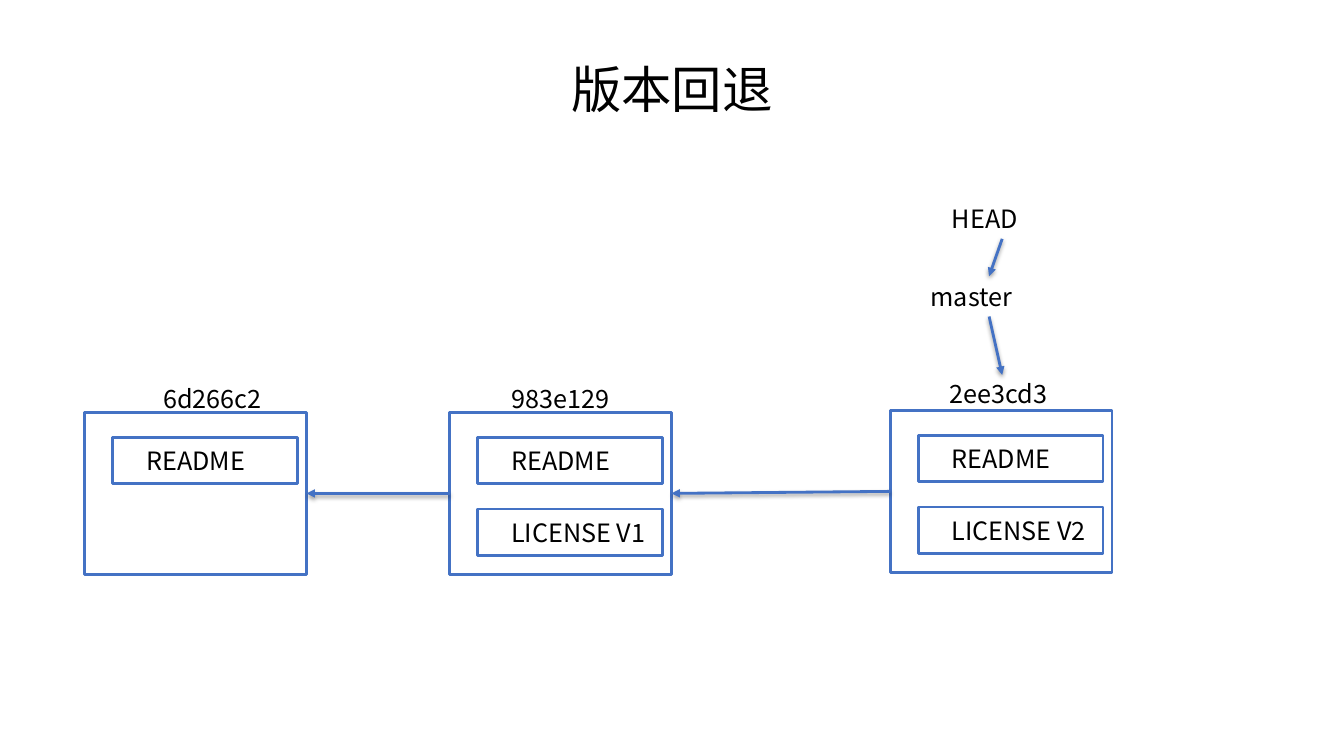
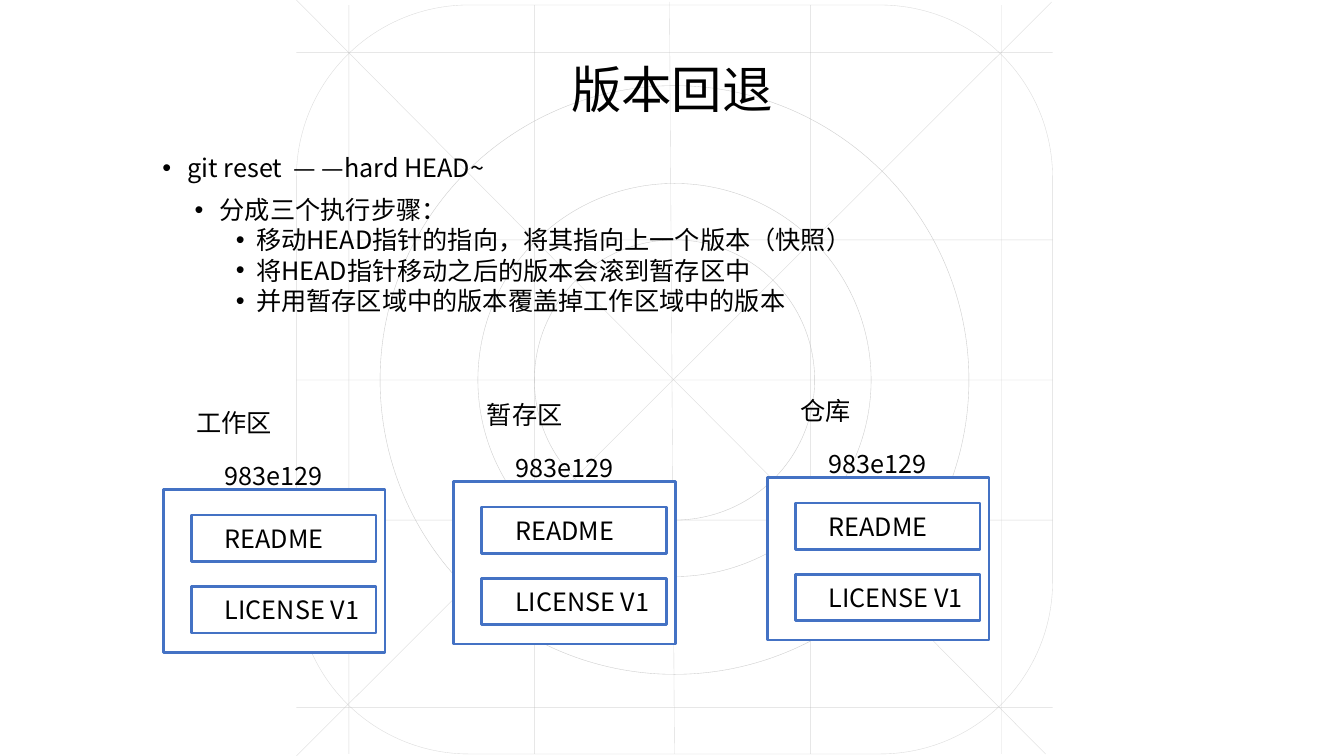
from lxml import etree
from pptx import Presentation
from pptx.dml.color import RGBColor
from pptx.enum import shapes, text
from pptx.oxml import ns
from pptx.util import Inches, Pt

FONT = "Noto Sans CJK SC"
COLORS = {"ink": "000000", "paper": "FFFFFF", "accent": "4472C4", "grid": "BFBFBF"}
TITLE = "版本回退"
BOX_SIZE = (2.2, 1.61)
FILE_SIZE = (1.83, 0.46)
FILE_OFFSET = (0.28, 0.25)
FILE_STEP = 0.71
LINE_PITCH = 21.6

# text, level, bullet position, text position, space before in points
STEPS = [
    ("git reset  — —hard HEAD~", 0, 0, 0.25, 0),
    ("分成三个执行步骤：", 1, 0.32, 0.57, 8.6),
    ("移动HEAD指针的指向，将其指向上一个版本（快照）", 2, 0.73, 0.93, 0),
    ("将HEAD指针移动之后的版本会滚到暂存区中", 2, 0.73, 0.93, 0),
    ("并用暂存区域中的版本覆盖掉工作区域中的版本", 2, 0.73, 0.93, 0),
]
AREAS = [("仓库", 7.61, 4.74), ("暂存区", 4.5, 4.78), ("工作区", 1.62, 4.86)]

GRID_CENTER = (6.69, 3.77)
GRID_RADII = (2.92, 1.95, 1.39)
GRID_LINES = (
    [(2.94, y, 10.44, y) for y in (0.52, 2.38, 3.77, 5.16, 7.02)]
    + [(x, 0.05, x, 7.48) for x in (3.46, 5.3, 8.04, 9.93)]
    + [(6.64, 0.02, 6.69, 7.48), (2.94, 0, 10.37, 7.48), (2.94, 7.5, 10.43, 0.02)]
)


def color(name):
    """Return the named colour."""
    return RGBColor.from_string(COLORS[name])


def add_child(parent, tag, **attributes):
    """Append a DrawingML element and return it."""
    return etree.SubElement(parent, ns.qn(f"a:{tag}"), attributes)


def place(shape, left, top, width, height):
    """Move and size a shape, in inches."""
    shape.left, shape.top = Inches(left), Inches(top)
    shape.width, shape.height = Inches(width), Inches(height)


def write(paragraph, words, size=18, align=text.PP_ALIGN.LEFT):
    """Put formatted text into a paragraph."""
    paragraph.alignment = align
    run = paragraph.add_run()
    run.text = words
    run.font.size = Pt(size)
    run.font.name = FONT
    run.font.color.rgb = color("ink")
    add_child(run.font._element, "ea", typeface=FONT)


def set_frame(frame, left=0.05, wrap=True, anchor=text.MSO_ANCHOR.MIDDLE):
    """Give a text frame its margins, wrapping and anchor."""
    frame.margin_left = Inches(left)
    frame.margin_top = frame.margin_right = frame.margin_bottom = Inches(0.05)
    frame.word_wrap = wrap
    frame.auto_size = text.MSO_AUTO_SIZE.NONE
    frame.vertical_anchor = anchor


def set_title(slide):
    """Fill and place the title shared by the slides."""
    title = slide.shapes.title
    place(title, 5.61, 0.53, 2.11, 0.79)
    set_frame(title.text_frame, wrap=False, anchor=text.MSO_ANCHOR.TOP)
    write(title.text_frame.paragraphs[0], TITLE, size=36, align=text.PP_ALIGN.CENTER)


def add_label(slide, words, left, top, width):
    """Add a one-line label."""
    label = slide.shapes.add_textbox(Inches(left), Inches(top), Inches(width), Inches(0.4))
    set_frame(label.text_frame)
    write(label.text_frame.paragraphs[0], words)


def add_box(slide, left, top, size):
    """Add a white rectangle with a blue outline."""
    box = slide.shapes.add_shape(shapes.MSO_SHAPE.RECTANGLE, 0, 0, 0, 0)
    place(box, left, top, *size)
    box.shadow.inherit = False
    box.fill.solid()
    box.fill.fore_color.rgb = color("paper")
    box.line.color.rgb = color("accent")
    box.line.width = Pt(2)
    return box


def add_commit(slide, left, top, commit_id, files, id_offset=(0.56, -0.34)):
    """Add a commit box with its files and its id above; return the box."""
    commit = add_box(slide, left, top, BOX_SIZE)
    for row, name in enumerate(files):
        file_top = top + FILE_OFFSET[1] + row * FILE_STEP
        file_box = add_box(slide, left + FILE_OFFSET[0], file_top, FILE_SIZE)
        set_frame(file_box.text_frame, left=0.33)
        write(file_box.text_frame.paragraphs[0], name)
    add_label(slide, commit_id, left + id_offset[0], top + id_offset[1], 2.11)
    return commit


def add_line(collection, start, end, line_color, width):
    """Add a straight connector; return it with its empty effect list."""
    line = collection.add_connector(
        shapes.MSO_CONNECTOR.STRAIGHT, *(Inches(value) for value in (*start, *end)))
    line.line.color.rgb = color(line_color)
    line.line.width = Pt(width)
    return line, add_child(line.element.spPr, "effectLst")


def add_arrow(slide, start=(0, 0), end=(0, 0)):
    """Add a blue arrow with a soft shadow."""
    arrow, effects = add_line(slide.shapes, start, end, "accent", 2)
    add_child(arrow.line._get_or_add_ln(), "tailEnd", type="triangle")
    shadow = add_child(effects, "outerShdw", blurRad=str(Pt(3)), dist=str(Pt(1.6)),
                       dir="5400000", rotWithShape="0")
    shade = add_child(shadow, "srgbClr", val=COLORS["ink"])
    add_child(shade, "alpha", val="38000")
    return arrow


def link_commits(slide, newer, older):
    """Point an arrow from a commit to the one before it."""
    arrow = add_arrow(slide)
    arrow.begin_connect(newer, 1)
    arrow.end_connect(older, 3)


def fade(shape, percent):
    """Set the opacity of a shape's line."""
    line_color = next(shape.element.spPr.iter(ns.qn("a:srgbClr")))
    add_child(line_color, "alpha", val=str(percent * 1000))


def add_grid_outline(group, kind, left, top, width, height, opacity):
    """Add an unfilled thin outline to the grid."""
    outline = group.shapes.add_shape(kind, 0, 0, 0, 0)
    place(outline, left, top, width, height)
    outline.shadow.inherit = False
    outline.fill.background()
    outline.line.color.rgb = color("grid")
    outline.line.width = Pt(0.25)
    fade(outline, opacity)
    return outline


def add_grid(slide):
    """Add the construction grid behind everything else."""
    group = slide.shapes.add_group_shape()
    for radius in GRID_RADII:
        add_grid_outline(group, shapes.MSO_SHAPE.OVAL, GRID_CENTER[0] - radius,
                         GRID_CENTER[1] - radius, 2 * radius, 2 * radius, 80)
    frame = add_grid_outline(group, shapes.MSO_SHAPE.ROUNDED_RECTANGLE,
                             2.94, 0.05, 7.5, 7.43, 56)
    frame.adjustments[0] = 0.23
    for x1, y1, x2, y2 in GRID_LINES:
        line, _ = add_line(group.shapes, (x1, y1), (x2, y2), "grid", 0.25)
        fade(line, 56)
    group.element.getparent().insert(2, group.element)


def fill_steps(body):
    """Write the bulleted command and its steps."""
    place(body, 1.56, 1.46, 7.1, 1.91)
    frame = body.text_frame
    set_frame(frame, anchor=text.MSO_ANCHOR.TOP)
    for index, (words, level, bullet_at, text_at, before) in enumerate(STEPS):
        paragraph = frame.add_paragraph() if index else frame.paragraphs[0]
        write(paragraph, words)
        paragraph.level = level
        paragraph.line_spacing = Pt(LINE_PITCH)
        paragraph.space_before = Pt(before)
        paragraph.space_after = Pt(0)
        properties = paragraph._p.get_or_add_pPr()
        properties.set("marL", str(Inches(text_at)))
        properties.set("indent", str(Inches(bullet_at - text_at)))
        add_child(properties, "buFont", typeface="Arial")
        add_child(properties, "buChar", char="•")


def build_history(presentation):
    """Build the slide with the commit history."""
    slide = presentation.slides.add_slide(presentation.slide_layouts[5])
    set_title(slide)
    first = add_commit(slide, 0.84, 4.09, "6d266c2", ["README"], (0.73, -0.34))
    second = add_commit(slide, 4.46, 4.09, "983e129", ["README", "LICENSE V1"])
    third = add_commit(slide, 8.83, 4.07, "2ee3cd3", ["README", "LICENSE V2"], (0.54, -0.37))
    link_commits(slide, second, first)
    link_commits(slide, third, second)
    add_label(slide, "HEAD", 9.39, 1.97, 1.58)
    add_label(slide, "master", 9.18, 2.74, 1.25)
    add_arrow(slide, (9.94, 2.37), (9.81, 2.74))
    add_arrow(slide, (9.81, 3.14), (9.94, 3.72))


def build_reset(presentation):
    """Build the slide that explains the hard reset."""
    slide = presentation.slides.add_slide(presentation.slide_layouts[1])
    add_grid(slide)
    set_title(slide)
    fill_steps(slide.placeholders[1])
    for area, left, top in AREAS:
        add_commit(slide, left, top, "983e129", ["README", "LICENSE V1"])
        add_label(slide, area, left + FILE_OFFSET[0], top - 0.87, 1.83)


def main():
    """Build and save the presentation."""
    presentation = Presentation()
    presentation.slide_width = Inches(13.33)
    presentation.slide_height = Inches(7.5)
    build_history(presentation)
    build_reset(presentation)
    presentation.save("out.pptx")


main()
